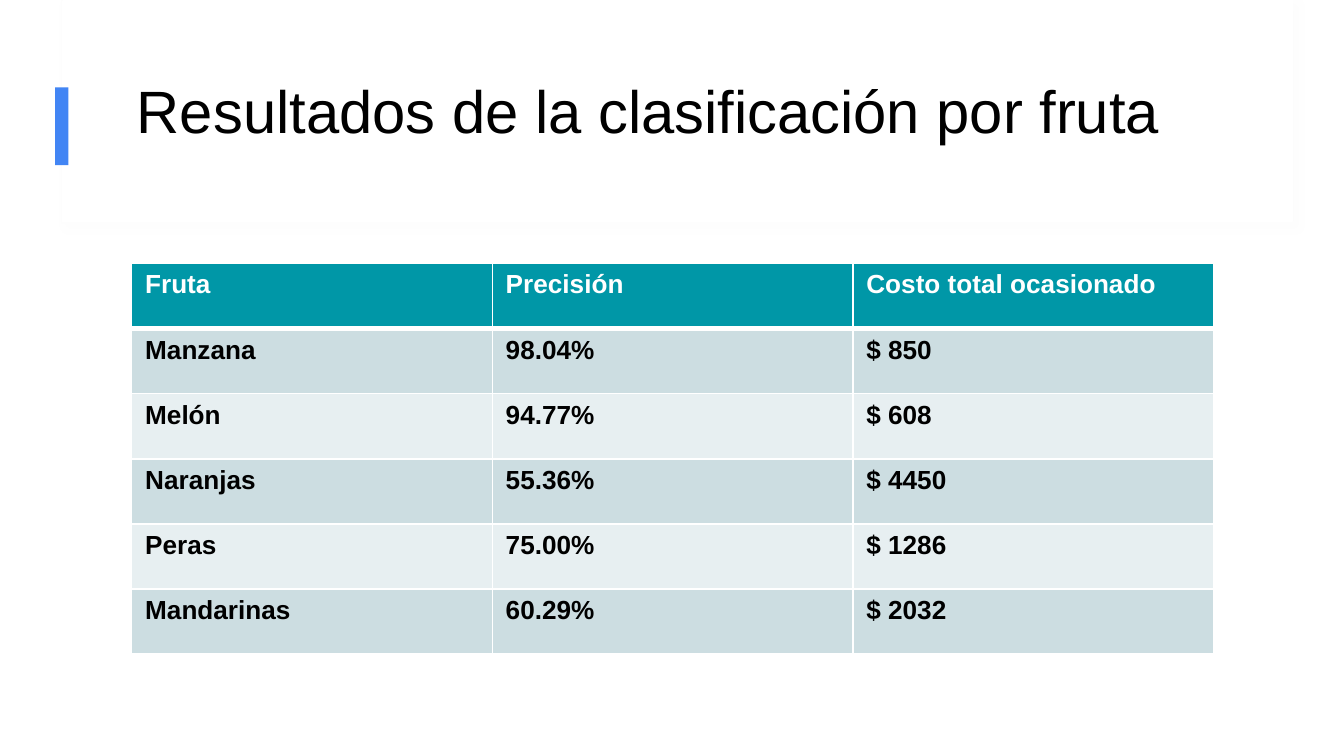
from lxml.etree import SubElement
from pptx import Presentation
from pptx.dml.color import RGBColor
from pptx.enum.shapes import MSO_SHAPE
from pptx.enum.text import MSO_ANCHOR
from pptx.oxml.ns import qn
from pptx.util import Inches, Pt

WHITE = RGBColor(0xFF, 0xFF, 0xFF)
BLACK = RGBColor(0, 0, 0)
FRAME = RGBColor(0xFD, 0xFD, 0xFD)
SHADE = RGBColor(0xD9, 0xD9, 0xD9)
BLUE = RGBColor(0x42, 0x85, 0xF4)
TEAL = RGBColor(0x00, 0x97, 0xA7)
BANDS = (RGBColor(0xCC, 0xDD, 0xE1), RGBColor(0xE7, 0xEF, 0xF1))

RESULTS = [
    ("Fruta", "Precisión", "Costo total ocasionado"),
    ("Manzana", "98.04%", "$ 850"),
    ("Melón", "94.77%", "$ 608"),
    ("Naranjas", "55.36%", "$ 4450"),
    ("Peras", "75.00%", "$ 1286"),
    ("Mandarinas", "60.29%", "$ 2032"),
]


class SlideBuilder:
    font = "Arial"

    def __init__(self, slide):
        self.slide = slide

    def style(self, paragraph, size, color, bold=False):
        font = paragraph.font
        font.name, font.size, font.bold = self.font, Pt(size), bold
        font.color.rgb = color

    def panel(self, left, top, width, height, fill, line=None):
        panel = self.slide.shapes.add_shape(
            MSO_SHAPE.RECTANGLE, *map(Inches, (left, top, width, height)))
        panel.shadow.inherit = False
        panel.fill.solid()
        panel.fill.fore_color.rgb = fill
        if line is None:
            panel.line.fill.background()
        else:
            panel.line.color.rgb = line
            panel.line.width = Pt(0.75)
        return panel

    def cast_shadow(self, panel):
        effects = panel._element.spPr.find(qn("a:effectLst"))
        shadow = SubElement(effects, qn("a:outerShdw"), blurRad=str(Pt(4)),
                            dist=str(Pt(3)), dir=str(45 * 60000))
        color = SubElement(shadow, qn("a:srgbClr"), val=str(SHADE))
        SubElement(color, qn("a:alpha"), val="6000")

    def title(self, text, left, top, width, height):
        frame = self.slide.shapes.add_textbox(
            *map(Inches, (left, top, width, height))).text_frame
        frame.word_wrap = True
        frame.vertical_anchor = MSO_ANCHOR.TOP
        frame.margin_top = frame.margin_bottom = Inches(0.1)
        frame.margin_left = frame.margin_right = Inches(0.1)
        frame.text = text
        self.style(frame.paragraphs[0], 32, BLACK)

    def borders(self, cell, top, bottom):
        """Draw white cell borders; top and bottom widths are in points."""
        properties = cell._tc.get_or_add_tcPr()
        for side, width in (("L", 1), ("R", 1), ("T", top), ("B", bottom)):
            line = SubElement(properties, qn(f"a:ln{side}"), w=str(Pt(width)))
            fill = SubElement(line, qn("a:solidFill"))
            SubElement(fill, qn("a:srgbClr"), val=str(WHITE))

    def table(self, rows, left, top, width, height):
        table = self.slide.shapes.add_table(
            len(rows), len(rows[0]),
            *map(Inches, (left, top, width, height))).table
        for r, row in enumerate(rows):
            header = r == 0
            for c, text in enumerate(row):
                cell = table.cell(r, c)
                self.borders(cell, 3 if r == 1 else 1, 3 if header else 1)
                cell.fill.solid()
                cell.fill.fore_color.rgb = TEAL if header else BANDS[(r - 1) % 2]
                cell.text = text
                self.style(cell.text_frame.paragraphs[0], 14,
                           WHITE if header else BLACK, bold=True)


def main():
    deck = Presentation()
    deck.slide_width = Inches(10)
    deck.slide_height = deck.slide_width * 9 // 16
    builder = SlideBuilder(deck.slides.add_slide(deck.slide_layouts[6]))

    header = builder.panel(0.46, 0, 9.16, 1.66, WHITE, FRAME)
    builder.cast_shadow(header)
    builder.panel(0.47, 0, 9.15, 1.65, WHITE)
    builder.panel(0.41, 0.65, 0.1, 0.58, BLUE)
    builder.title("Resultados de la clasificación por fruta", 0.92, 0.45, 8.34, 1.19)
    builder.table(RESULTS, 0.98, 1.96, 8.05, 2.91)

    deck.save("out.pptx")


if __name__ == "__main__":
    main()
